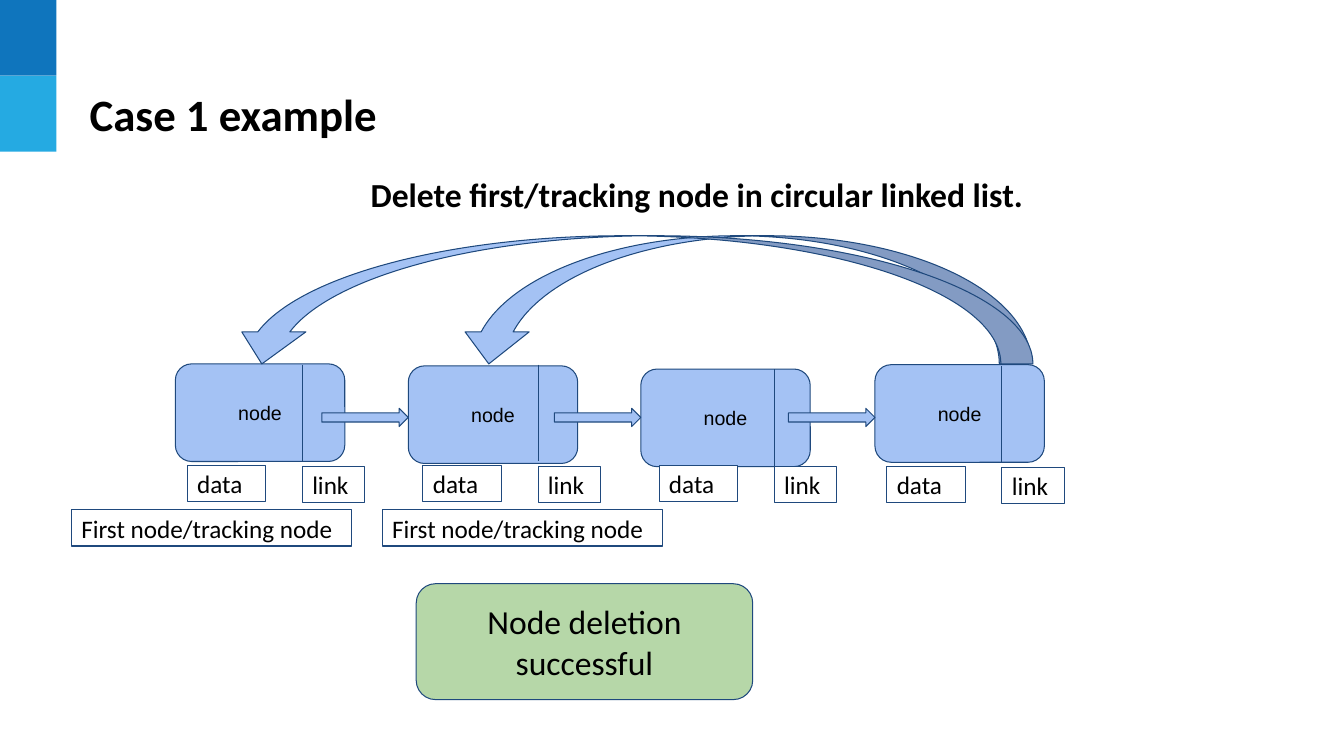
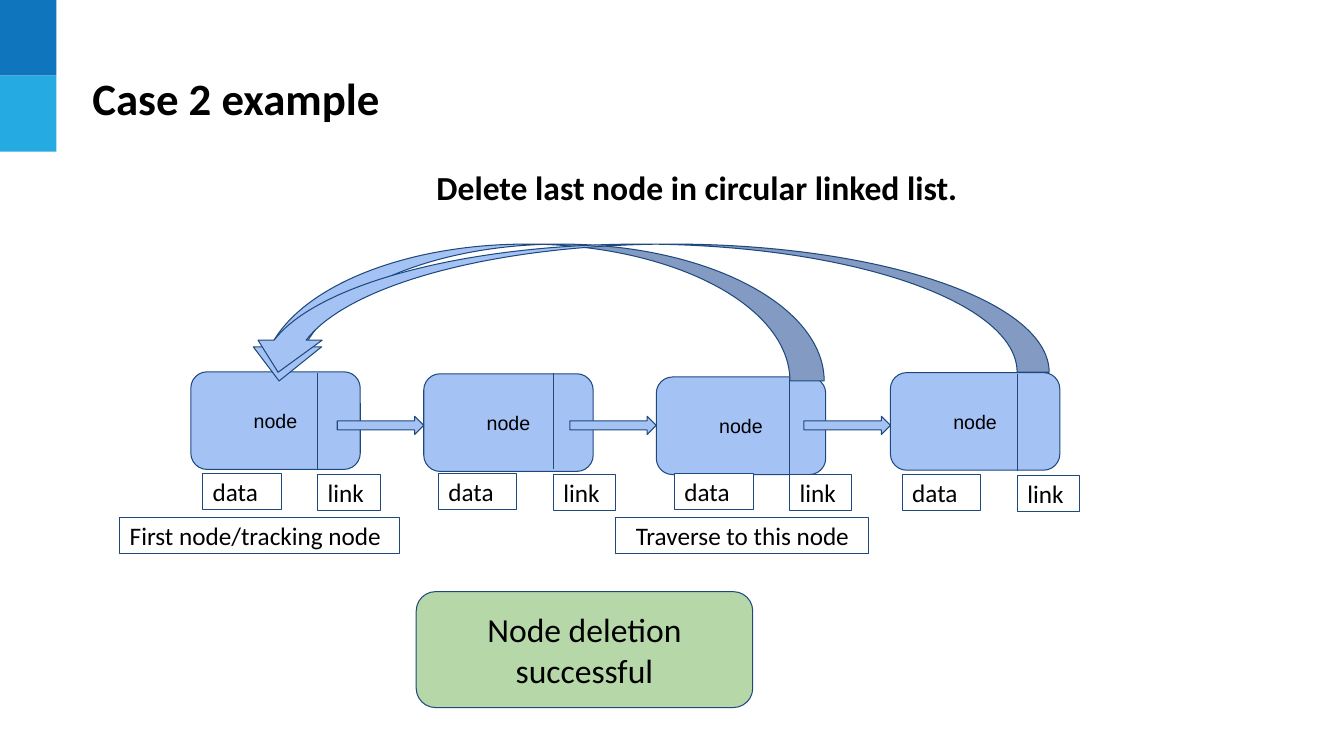
from dataclasses import dataclass

from lxml import etree
from pptx import Presentation
from pptx import util as u
from pptx.dml.color import RGBColor
from pptx.enum import shapes, text
from pptx.oxml.ns import qn
from pptx.shapes.autoshape import Shape
from pptx.slide import Slide

Cm = u.Cm
PRESET = shapes.MSO_SHAPE

# Shared colours and sizes (lengths in cm)
DARK_BLUE, LIGHT_BLUE = "0F75BD", "25AAE2"
NODE_BLUE, OUTLINE, SUCCESS = "A4C2F4", "1F497D", "B6D7A8"
WHITE, BLACK = "FFFFFF", "000000"
BAND_W, BAND_H = 1.42, 1.91
NODE_W, NODE_H, DIVIDER_H = 4.27, 2.46, 2.44
DATA_W, LINK_W, LABEL_H = 1.98, 1.57, 0.91
DATA_OFFSET, LINK_DROP = 2.9, 0.03
POINTER_W, POINTER_H, POINTER_TOP = 2.18, 0.46, 10.29
CAPTION_TOP, RESULT_TOP = 12.85, 14.71


@dataclass(frozen=True)
class Node:
    left: float
    top: float
    divider: float
    divider_top: float
    label_top: float


@dataclass(frozen=True)
class Arc:
    left: float
    top: float
    width: float
    height: float = 3.23


@dataclass(frozen=True)
class Caption:
    words: str
    left: float
    width: float = 7.06
    centred: bool = False


@dataclass(frozen=True)
class Case:
    title: str
    title_at: tuple[float, float]
    heading: str
    heading_top: float
    shift: tuple[float, float]
    arcs: tuple[Arc, ...]
    captions: tuple[Caption, ...]


NODES = (
    Node(4.42, 9.17, 7.62, 9.19, 11.73),
    Node(10.29, 9.22, 13.56, 9.19, 11.73),
    Node(16.15, 9.3, 19.51, 9.3, 11.73),
    Node(22.05, 9.19, 25.25, 9.22, 11.76),
)

CASES = (
    Case("Case 1 example", (2.01, 1.73),
         "Delete first/tracking node in circular linked list.", 4.14, (0, 0),
         (Arc(11.51, 5.94, 14.48), Arc(5.79, 5.94, 20.24)),
         (Caption("First node/tracking node", 1.8),
          Caption("First node/tracking node", 9.63))),
    Case("Case 2 example", (2.08, 1.32),
         "Delete last node in circular linked list.", 3.96, (0.39, 0.2),
         (Arc(6.17, 6.15, 14.6, 3.45), Arc(6.2, 6.15, 20.24)),
         (Caption("First node/tracking node", 3.02),
          Caption("Traverse to this node", 15.52, 6.38, True))),
)


def colour(value: str) -> RGBColor:
    return RGBColor.from_string(value)


def write(shape: Shape, words: str, *, size: float, font: str = "Calibri",
          bold: bool = False, centred: bool = False, middle: bool = True,
          inset: float = 0.25, indent: float = 0) -> None:
    frame = shape.text_frame
    frame.word_wrap = True
    frame.vertical_anchor = text.MSO_ANCHOR.MIDDLE if middle else text.MSO_ANCHOR.TOP
    frame.margin_left = frame.margin_right = Cm(0.25)
    frame.margin_top = frame.margin_bottom = Cm(inset)
    paragraph = frame.paragraphs[0]
    paragraph.alignment = text.PP_ALIGN.CENTER if centred else text.PP_ALIGN.LEFT
    if indent:
        properties = paragraph._p.get_or_add_pPr()
        properties.set("marL", str(Cm(indent)))
        properties.set("indent", "0")
    run = paragraph.add_run()
    run.text = words
    run.font.name, run.font.size, run.font.bold = font, u.Pt(size), bold
    run.font.color.rgb = colour(BLACK)


def draw(slide: Slide, preset: PRESET, left: float, top: float, width: float,
         height: float, fill: str, outline: str | None = OUTLINE) -> Shape:
    shape = slide.shapes.add_shape(preset, Cm(left), Cm(top), Cm(width), Cm(height))
    shape.shadow.inherit = False
    shape.fill.solid()
    shape.fill.fore_color.rgb = colour(fill)
    if outline:
        shape.line.color.rgb = colour(outline)
        shape.line.width = u.Pt(0.75)
    else:
        shape.line.fill.background()
    return shape


def draw_label(slide: Slide, words: str, left: float, top: float, width: float,
               centred: bool = False) -> None:
    label = draw(slide, PRESET.RECTANGLE, left, top, width, LABEL_H, WHITE)
    write(label, words, size=18, centred=centred)


def draw_node(slide: Slide, node: Node, dx: float, dy: float) -> None:
    body = draw(slide, PRESET.ROUNDED_RECTANGLE, node.left + dx, node.top + dy,
                NODE_W, NODE_H, NODE_BLUE)
    write(body, "node", size=14, font="Arial", centred=True)
    x, y = node.divider + dx, node.divider_top + dy
    divider = slide.shapes.add_connector(
        shapes.MSO_CONNECTOR.STRAIGHT, Cm(x), Cm(y), Cm(x), Cm(y + DIVIDER_H))
    divider.line.color.rgb = colour(OUTLINE)
    divider.line.width = u.Pt(0.75)
    etree.SubElement(divider._element.spPr, qn("a:effectLst"))
    label_top = node.label_top + dy
    draw_label(slide, "link", x, label_top + LINK_DROP, LINK_W)
    draw_label(slide, "data", x - DATA_OFFSET, label_top, DATA_W)


def draw_frame(slide: Slide, case: Case) -> None:
    for row, fill in enumerate((DARK_BLUE, LIGHT_BLUE)):
        draw(slide, PRESET.RECTANGLE, 0, row * BAND_H, BAND_W, BAND_H, fill, None)
    left, top = case.title_at
    title = slide.shapes.add_textbox(Cm(left), Cm(top), Cm(23.72), Cm(2.29))
    write(title, case.title, size=32, bold=True, inset=0.13)
    heading = slide.shapes.add_textbox(Cm(4.04), Cm(case.heading_top),
                                       Cm(25.78), Cm(1.55))
    write(heading, case.heading, size=24, bold=True, centred=True, middle=False,
          indent=1.27)


def draw_case(slide: Slide, case: Case) -> None:
    draw_frame(slide, case)
    dx, dy = case.shift

    # Linked list: nodes, then the pointers between neighbours
    for node in NODES:
        draw_node(slide, node, dx, dy)
    for target in NODES[1:]:
        draw(slide, PRESET.RIGHT_ARROW, target.left + dx - POINTER_W,
             POINTER_TOP + dy, POINTER_W, POINTER_H, NODE_BLUE)

    # Links back to the first node, before and after the deletion
    for arc in case.arcs:
        curve = draw(slide, PRESET.CURVED_UP_ARROW, arc.left, arc.top,
                     arc.width, arc.height, NODE_BLUE)
        curve.rotation = 180

    # Captions and outcome
    for caption in case.captions:
        draw_label(slide, caption.words, caption.left, CAPTION_TOP + dy,
                   caption.width, caption.centred)
    result = draw(slide, PRESET.ROUNDED_RECTANGLE, 10.49, RESULT_TOP + dy,
                  8.48, 2.92, SUCCESS)
    write(result, "Node deletion successful", size=24, centred=True)


def main() -> None:
    deck = Presentation()
    deck.slide_width, deck.slide_height = Cm(33.87), Cm(19.05)
    blank = deck.slide_layouts[6]
    for case in CASES:
        draw_case(deck.slides.add_slide(blank), case)
    deck.save("out.pptx")


if __name__ == "__main__":
    main()
